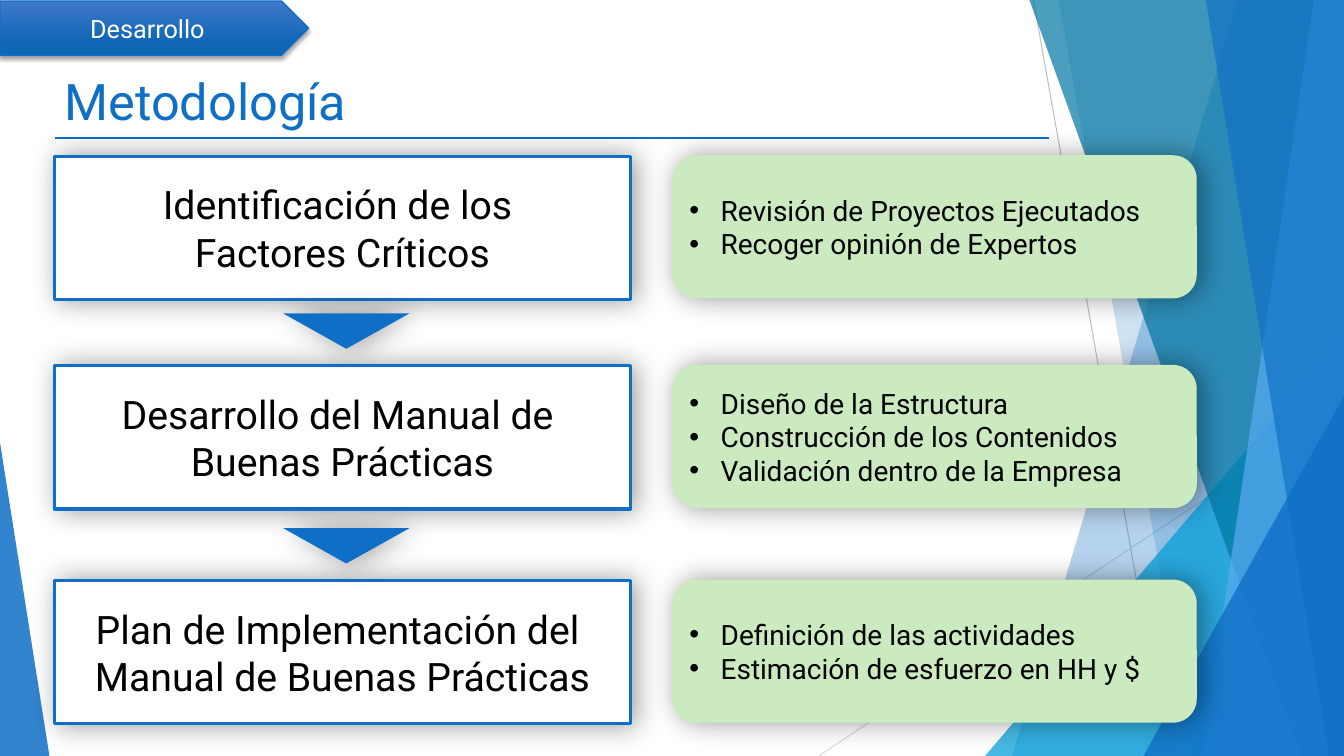
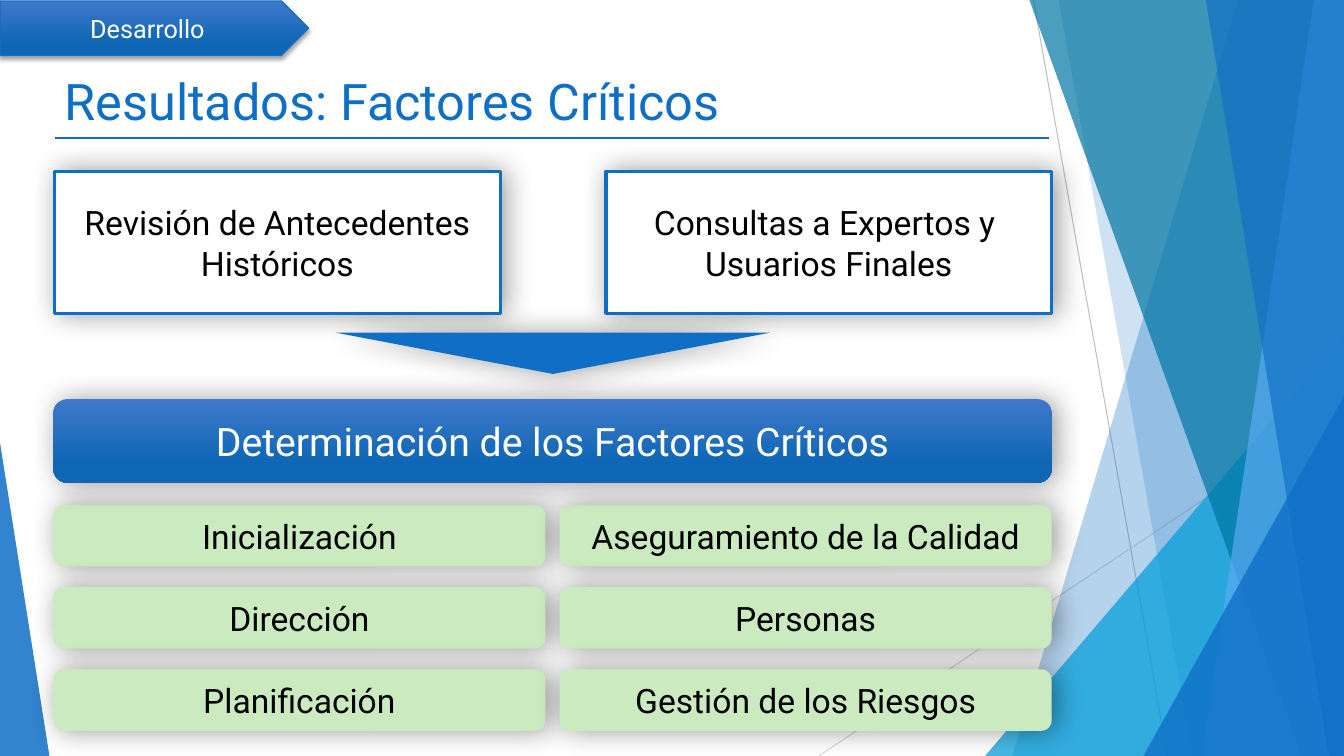
from lxml.etree import SubElement
from pptx import Presentation
from pptx.dml.color import RGBColor
from pptx.enum.shapes import MSO_CONNECTOR, MSO_SHAPE
from pptx.enum.text import MSO_ANCHOR, MSO_AUTO_SIZE, PP_ALIGN
from pptx.oxml.ns import qn
from pptx.util import Inches, Pt

COLORS = {
    "blue": "0F6FC6", "cyan": "009DD9", "teal": "0076A3", "sky": "59AAF2",
    "banner_top": "4079C9", "banner_base": "0E66B5", "green": "CBEAC0",
    "gray": "BFBFBF", "pale_gray": "D9D9D9", "white": "FFFFFF", "black": "000000",
}
FONT = "Roboto"
WIDTH, HEIGHT = 13.33, 7.5
LEFT = 0.54
# opacity in percent, blur, distance, direction in degrees
SOFT_SHADOW = (40, 20, 3, 0)
TAG_SHADOW = (35, 3, 2, 90)


def paint(shape, fill, opacity=100, line=None, line_width=1, shadow=None):
    """Set fill ("banner" is the gradient), outline and shadow of a shape."""
    if fill == "banner":
        shape.fill.gradient()
        shape.fill.gradient_angle = 270
        ends = ((0, "banner_top"), (0.78, "banner_base"))
        for stop, (position, color) in zip(shape.fill.gradient_stops, ends):
            stop.position = position
            stop.color.rgb = RGBColor.from_string(COLORS[color])
    else:
        shape.fill.solid()
        shape.fill.fore_color.rgb = RGBColor.from_string(COLORS[fill])
        if opacity < 100:
            color = shape.element.spPr.find(qn("a:solidFill"))[0]
            SubElement(color, qn("a:alpha"), val=str(opacity * 1000))
    if line:
        shape.line.color.rgb = RGBColor.from_string(COLORS[line])
        shape.line.width = Pt(line_width)
    else:
        shape.line.fill.background()
    shape.shadow.inherit = False
    if shadow:
        strength, blur, distance, angle = shadow
        effects = shape.element.spPr.find(qn("a:effectLst"))
        outer = SubElement(effects, qn("a:outerShdw"), blurRad=str(Pt(blur)),
                           dist=str(Pt(distance)), dir=str(angle * 60000),
                           algn="ctr", rotWithShape="0")
        color = SubElement(outer, qn("a:srgbClr"), val=COLORS["black"])
        SubElement(color, qn("a:alpha"), val=str(strength * 1000))


def add_card(slide, preset, box, fill, lines=(), size=24, color="black",
             bullets=False, line=None, line_width=2.25, shadow=SOFT_SHADOW):
    card = slide.shapes.add_shape(preset, *map(Inches, box))
    paint(card, fill, line=line, line_width=line_width, shadow=shadow)
    frame = card.text_frame
    frame.vertical_anchor = MSO_ANCHOR.MIDDLE
    for index, text in enumerate(lines):
        paragraph = frame.add_paragraph() if index else frame.paragraphs[0]
        paragraph.alignment = PP_ALIGN.LEFT if bullets else PP_ALIGN.CENTER
        if bullets:
            properties = paragraph._p.get_or_add_pPr()
            properties.set("marL", str(Inches(0.31)))
            properties.set("indent", str(-Inches(0.31)))
            SubElement(properties, qn("a:buFont"), typeface="Arial")
            SubElement(properties, qn("a:buChar"), char="•")
        run = paragraph.add_run()
        run.text = text
        run.font.name = FONT
        run.font.size = Pt(size)
        run.font.color.rgb = RGBColor.from_string(COLORS[color])


prs = Presentation()
prs.slide_width, prs.slide_height = Inches(WIDTH), Inches(HEIGHT)
layout = prs.slide_layouts.get_by_name("Title Only")
heading = layout.placeholders[0]
heading.left, heading.top = Inches(LEFT), Inches(0.63)
heading.width, heading.height = Inches(10.02), Inches(0.74)

# Shared headings and section tag
slides = []
for title in ("Metodología", "Resultados: Factores Críticos"):
    slide = prs.slides.add_slide(layout)
    slides.append(slide)
    frame = slide.shapes.title.text_frame
    frame.auto_size = MSO_AUTO_SIZE.NONE
    frame.vertical_anchor = MSO_ANCHOR.MIDDLE
    frame.paragraphs[0].alignment = PP_ALIGN.LEFT
    run = frame.paragraphs[0].add_run()
    run.text = title
    run.font.name = FONT
    run.font.size = Pt(36)
    run.font.color.rgb = RGBColor.from_string(COLORS["blue"])
    add_card(slide, MSO_SHAPE.PENTAGON, (0, 0.01, 3.06, 0.54), "banner",
             ["Desarrollo"], 18, "white", line="blue", line_width=1,
             shadow=TAG_SHADOW)
method, results = slides

# Decoration, drawn once and moved into the layout
decoration = []
for x1, y1, x2, y2, color, weight in (
    (10.25, 0, 11.58, HEIGHT, "gray", 0.75),
    (WIDTH, 4.03, 8.12, HEIGHT, "pale_gray", 0.75),
    (0.55, 1.37, 10.4, 1.37, "blue", 1),
):
    rule = method.shapes.add_connector(
        MSO_CONNECTOR.STRAIGHT, *map(Inches, (x1, y1, x2, y2)))
    rule.line.color.rgb = RGBColor.from_string(COLORS[color])
    rule.line.width = Pt(weight)
    SubElement(rule.element.spPr, qn("a:effectLst"))
    decoration.append(rule)

# Ribbons run from a top x to a bottom x, corners start at a left and a top
for kind, first, second, color, opacity in (
    ("ribbon", 12.28, 10.04, "blue", 30),
    ("ribbon", 10.5, 11.83, "blue", 20),
    ("corner", 9.77, 3.33, "cyan", 72),
    ("ribbon", 10.21, 12.91, "teal", 70),
    ("ribbon", 13.03, 11.92, "sky", 70),
    ("ribbon", 11.96, 13.18, "blue", 65),
    ("corner", 11.34, 3.93, "blue", 80),
):
    if kind == "ribbon":
        outline = method.shapes.build_freeform(Inches(first), 0)
        outline.add_line_segments(
            [(Inches(x), Inches(y)) for x, y in
             ((WIDTH, 0), (WIDTH, HEIGHT), (second, HEIGHT))], close=True)
        facet = outline.convert_to_shape()
    else:
        facet = method.shapes.add_shape(
            MSO_SHAPE.ISOSCELES_TRIANGLE,
            *map(Inches, (first, second, WIDTH - first, HEIGHT - second)))
        facet.adjustments[0] = 1
    paint(facet, color, opacity)
    decoration.append(facet)

left_corner = method.shapes.add_shape(
    MSO_SHAPE.ISOSCELES_TRIANGLE, *map(Inches, (0, 4.39, 0.49, HEIGHT - 4.39)))
left_corner.adjustments[0] = 0
paint(left_corner, "blue", 85)
decoration.append(left_corner)

for number, part in enumerate(decoration, start=100):
    part.element.xpath(".//p:cNvPr")[0].set("id", str(number))
    layout.shapes.element.append(part.element)

# Metodología: three stages with their tasks
stages = (
    (1.55, ["Identificación de los ", "Factores Críticos"],
     ["Revisión de Proyectos Ejecutados", "Recoger opinión de Expertos"]),
    (3.63, ["Desarrollo del Manual de ", "Buenas Prácticas"],
     ["Diseño de la Estructura", "Construcción de los Contenidos",
      "Validación dentro de la Empresa"]),
    (5.76, ["Plan de Implementación del ", "Manual de Buenas Prácticas"],
     ["Definición de las actividades", "Estimación de esfuerzo en HH y $"]),
)
for top, stage, tasks in stages:
    add_card(method, MSO_SHAPE.RECTANGLE, (LEFT, top, 5.71, 1.42), "white",
             stage, 28, line="blue")
    add_card(method, MSO_SHAPE.ROUNDED_RECTANGLE, (6.67, top - 0.01, 5.2, 1.42),
             "green", tasks, 20, bullets=True)
for next_top, *_ in stages[1:]:
    add_card(method, MSO_SHAPE.FLOWCHART_MERGE,
             (2.81, next_top - 0.52, 1.25, 0.35), "blue")

# Resultados: factors in two columns, below their sources
factors = (
    ("Inicialización", "Dirección", "Planificación"),
    ("Aseguramiento de la Calidad", "Personas", "Gestión de los Riesgos"),
)
for column, names in enumerate(factors):
    for row, factor in enumerate(names):
        add_card(results, MSO_SHAPE.ROUNDED_RECTANGLE,
                 (0.53 + column * 5.02, 5.01 + row * 0.815, 4.88, 0.61),
                 "green", [factor])

sources = (
    ["Revisión de Antecedentes Históricos"],
    ["Consultas a Expertos y ", "Usuarios Finales"],
)
for column, source in enumerate(sources):
    add_card(results, MSO_SHAPE.RECTANGLE,
             (LEFT + column * 5.47, 1.7, 4.42, 1.41), "white", source, line="blue")

add_card(results, MSO_SHAPE.ROUNDED_RECTANGLE, (0.53, 3.96, 9.9, 0.83), "banner",
         ["Determinación de los Factores Críticos"], 28, "white")
add_card(results, MSO_SHAPE.FLOWCHART_MERGE, (3.33, 3.3, 4.31, 0.41), "blue")

prs.save("out.pptx")
